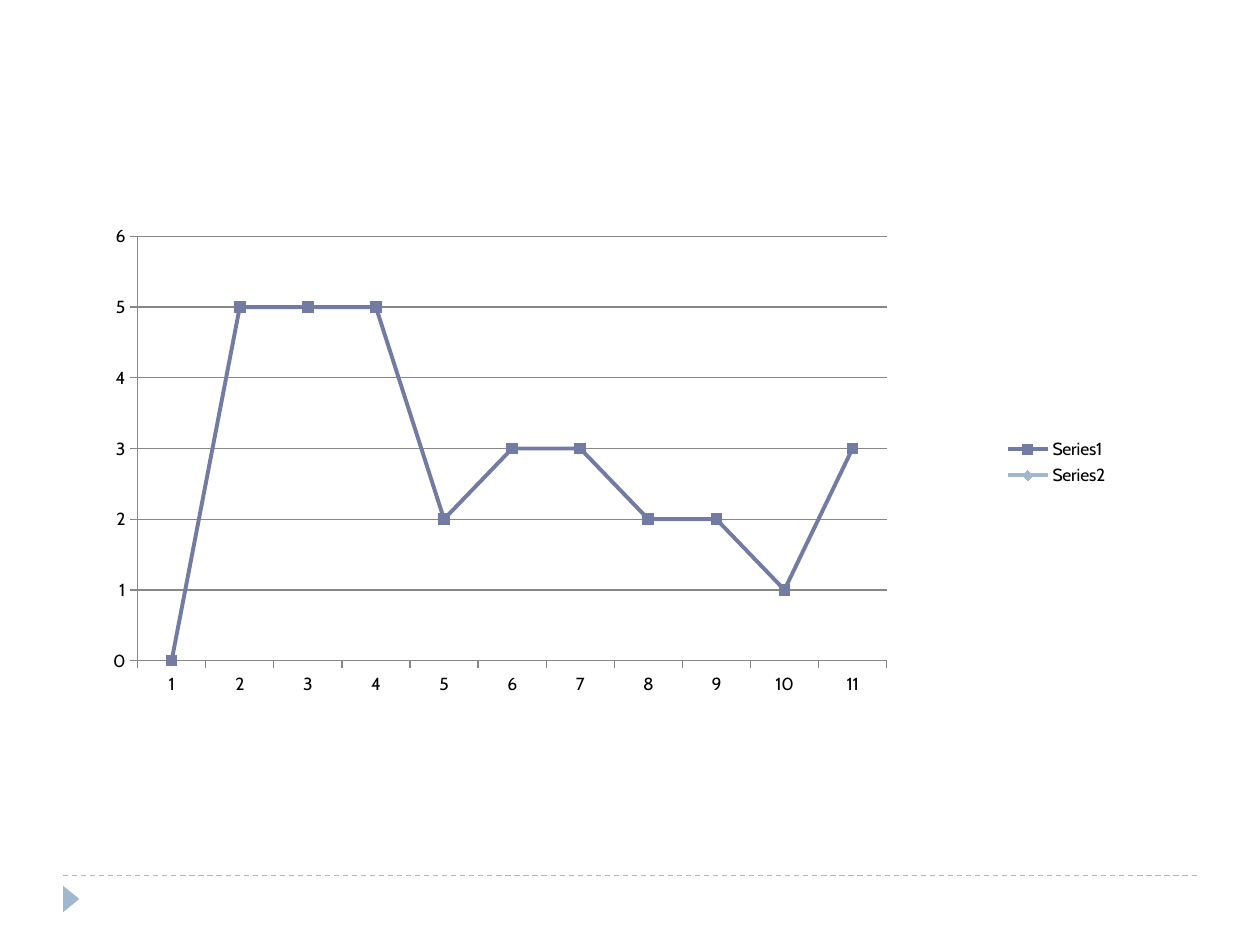
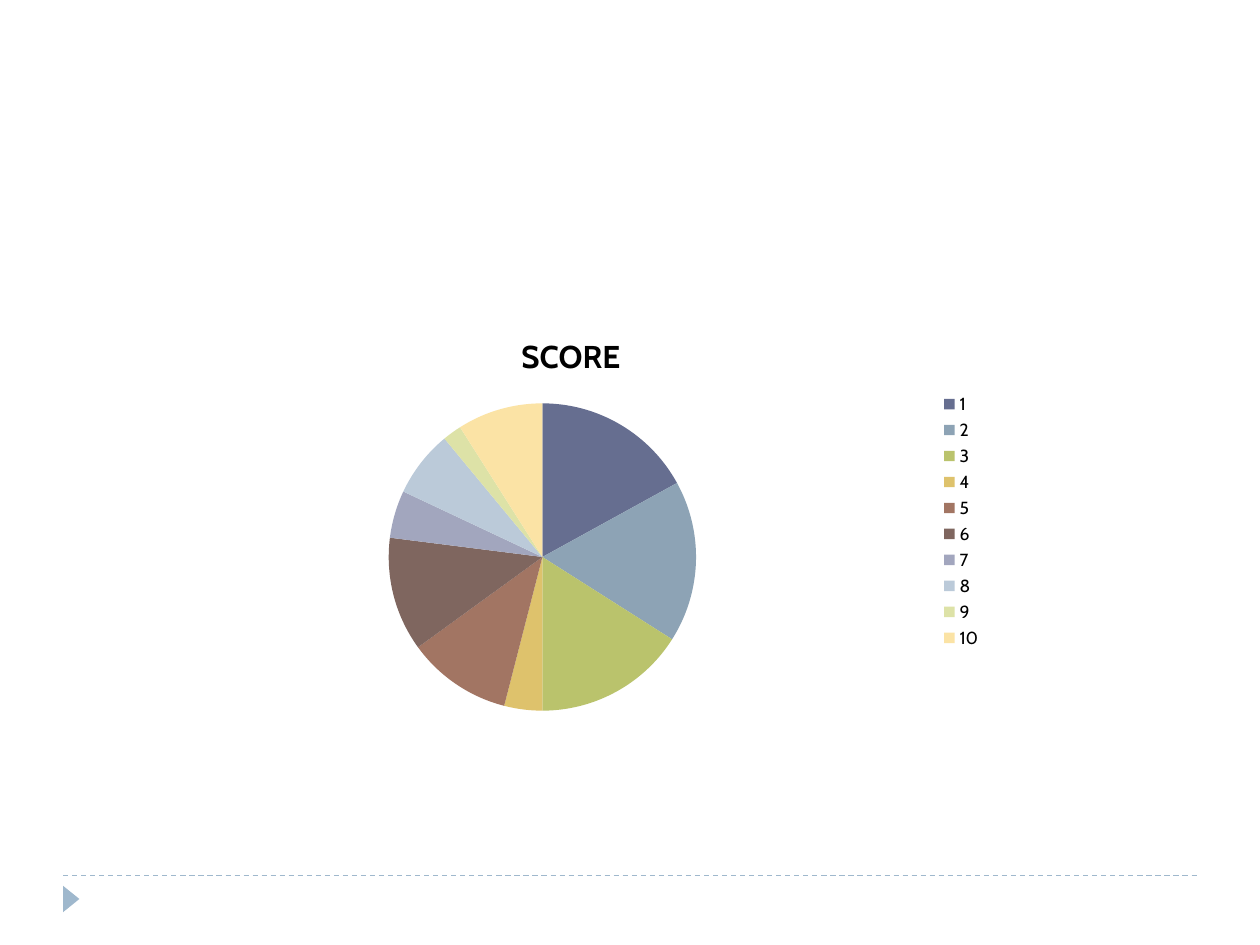
from lxml import etree
from pptx import Presentation
from pptx import util as u
from pptx.chart.data import CategoryChartData
from pptx.dml.color import RGBColor
from pptx.enum import chart as c
from pptx.enum import dml, shapes
from pptx.oxml import parse_xml
from pptx.oxml.ns import nsdecls, qn

WIDTH, HEIGHT = u.Inches(10), u.Inches(7.5)
FONT = "Cabin"
BLACK = RGBColor(0x00, 0x00, 0x00)
GREY = RGBColor(0x87, 0x87, 0x87)
INDIGO = RGBColor(0x72, 0x7C, 0xA3)
SKY = RGBColor(0x9F, 0xB8, 0xCD)
SLICE_COLOURS = [RGBColor.from_string(code) for code in (
    "666E90", "8DA3B5", "BAC36C", "DEC26C", "A27563",
    "7F665F", "A2A6BE", "BBCAD9", "DDE2A7", "FBE3A5")]

LINE_VALUES = {
    "Series1": [0, 5, 5, 5, 2, 3, 3, 2, 2, 1, 3],
    "Series2": [None] * 11,
}
SCORES = {"SCORE": [17, 17, 16, 4, 11, 12, 5, 7, 2, 9]}


def add_footer(page):
    """Dashed rule and the small arrowhead below it."""
    rule_y = u.Inches(6.95)
    margin = u.Inches(0.5)
    rule = page.shapes.add_connector(
        shapes.MSO_CONNECTOR.STRAIGHT, margin, rule_y, WIDTH - margin, rule_y)
    rule.line.color.rgb = SKY
    rule.line.width = u.Pt(0.75)
    rule.line.dash_style = dml.MSO_LINE.DASH
    etree.SubElement(rule._element.spPr, qn("a:effectLst"))

    arrowhead = page.shapes.add_shape(
        shapes.MSO_SHAPE.ISOSCELES_TRIANGLE,
        u.Inches(0.46), u.Inches(7.07), u.Inches(0.21), u.Inches(0.13))
    arrowhead.rotation = 90
    arrowhead.shadow.inherit = False
    arrowhead.fill.solid()
    arrowhead.fill.fore_color.rgb = SKY
    arrowhead.line.fill.background()


def add_page(deck):
    page = deck.slides.add_slide(deck.slide_layouts[6])
    add_footer(page)
    return page


def place_plot(chart, left, top, width, height):
    """Fix the inner plot area, in shares of the chart's size."""
    plot_area = chart._chartSpace.chart.plotArea
    for layout in plot_area.findall(qn("c:layout")):
        plot_area.remove(layout)
    shares = zip("xywh", (left, top, width, height))
    sizes = "".join(f'<c:{key} val="{share}"/>' for key, share in shares)
    plot_area.insert(0, parse_xml(
        f'<c:layout {nsdecls("c")}><c:manualLayout>'
        '<c:layoutTarget val="inner"/>'
        '<c:xMode val="edge"/><c:yMode val="edge"/>'
        f'{sizes}</c:manualLayout></c:layout>'))


def add_chart(page, kind, values, frame, plot_shares):
    data = CategoryChartData()
    count = max(len(numbers) for numbers in values.values())
    data.categories = [str(number) for number in range(1, count + 1)]
    for name, numbers in values.items():
        data.add_series(name, numbers)
    chart = page.shapes.add_chart(kind, *map(u.Inches, frame), data).chart
    chart.font.name = FONT
    chart.font.size = u.Pt(10)
    chart.font.color.rgb = BLACK
    chart.has_title = False
    chart.has_legend = True
    chart.legend.position = c.XL_LEGEND_POSITION.RIGHT
    chart.legend.include_in_layout = False
    place_plot(chart, *plot_shares)
    return chart


def style_axis(axis):
    axis.major_tick_mark = c.XL_TICK_MARK.OUTSIDE
    axis.minor_tick_mark = c.XL_TICK_MARK.NONE
    axis.format.line.color.rgb = GREY
    axis.format.line.width = u.Pt(0.75)


def style_line(series, colour, marker):
    series.smooth = False
    series.format.line.color.rgb = colour
    series.format.line.width = u.Pt(2.25)
    series.marker.style = marker
    series.marker.size = 6
    series.marker.format.fill.solid()
    series.marker.format.fill.fore_color.rgb = colour
    series.marker.format.line.color.rgb = colour


def add_line_chart(page):
    chart = add_chart(page, c.XL_CHART_TYPE.LINE_MARKERS, LINE_VALUES,
                      (0.62, 1.56, 8.28, 4.22), (0.057, 0.075, 0.718, 0.798))
    style_axis(chart.category_axis)
    scale = chart.value_axis
    style_axis(scale)
    scale.minimum_scale, scale.maximum_scale, scale.major_unit = 0, 6, 1
    scale.has_major_gridlines = True
    scale.major_gridlines.format.line.color.rgb = GREY
    scale.major_gridlines.format.line.width = u.Pt(0.75)
    plot = chart.plots[0]
    plot.vary_by_categories = False
    markers = (c.XL_MARKER_STYLE.SQUARE, c.XL_MARKER_STYLE.DIAMOND)
    for series, colour, marker in zip(plot.series, (INDIGO, SKY), markers):
        style_line(series, colour, marker)


def add_score_pie(page):
    chart = add_chart(page, c.XL_CHART_TYPE.PIE, SCORES,
                      (1.17, 2.49, 6.72, 3.29), (0.285, 0.216, 0.363, 0.742))
    chart.has_title = True
    span = chart.chart_title.text_frame.paragraphs[0].add_run()
    span.text = "SCORE"
    span.font.name = FONT
    span.font.size = u.Pt(18)
    span.font.bold = True
    span.font.color.rgb = BLACK
    plot = chart.plots[0]
    plot.vary_by_categories = True
    for index, colour in enumerate(SLICE_COLOURS):
        slice_format = plot.series[0].points[index].format
        slice_format.fill.solid()
        slice_format.fill.fore_color.rgb = colour
        slice_format.line.fill.background()


def main():
    deck = Presentation()
    deck.slide_width, deck.slide_height = WIDTH, HEIGHT
    add_line_chart(add_page(deck))
    add_score_pie(add_page(deck))
    deck.save("out.pptx")


if __name__ == "__main__":
    main()
